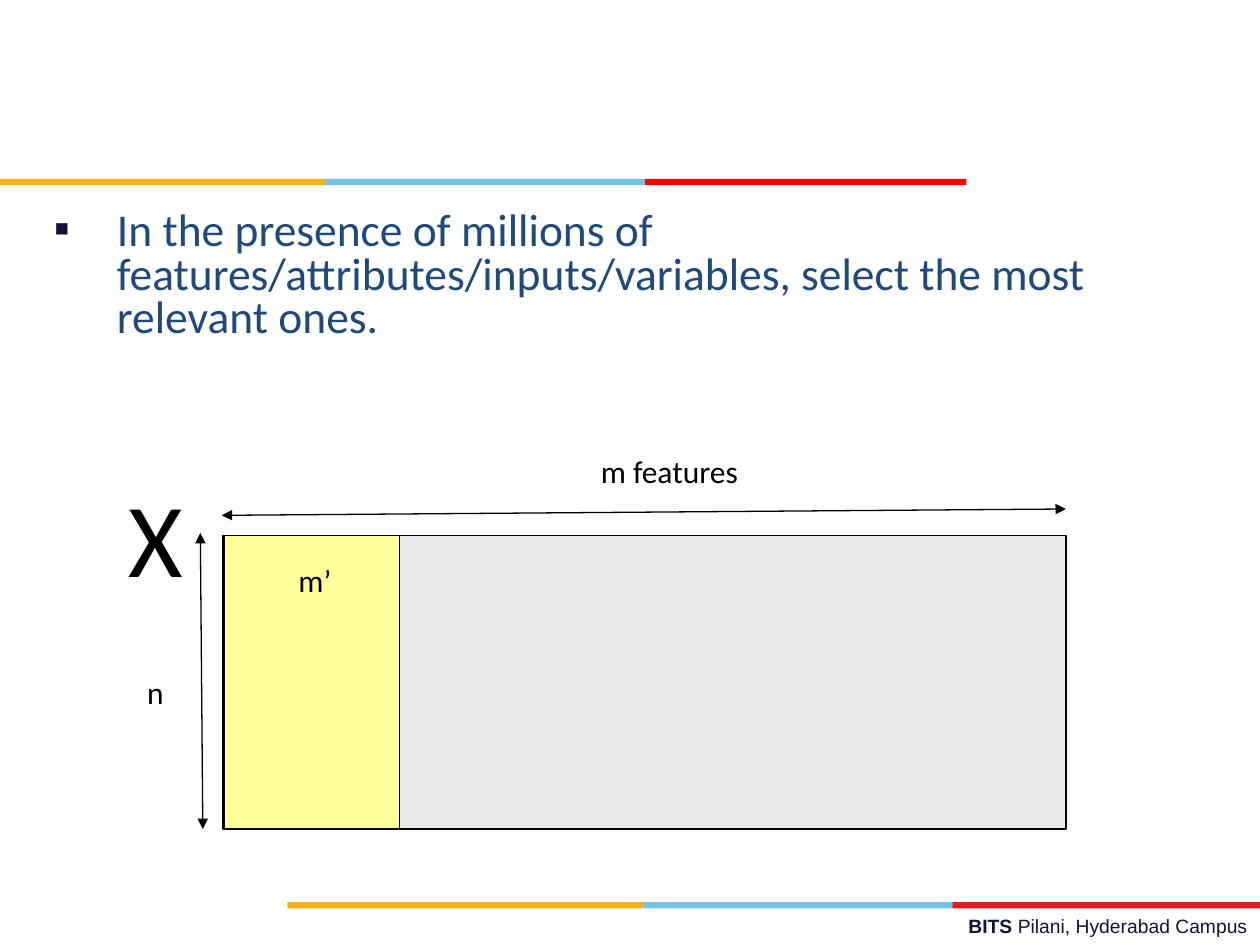
from lxml import etree
from pptx import Presentation
from pptx.dml.color import RGBColor
from pptx.enum.shapes import MSO_CONNECTOR, MSO_SHAPE
from pptx.enum.text import PP_ALIGN
from pptx.oxml.ns import qn
from pptx.util import Pt

RECT, STRAIGHT = MSO_SHAPE.RECTANGLE, MSO_CONNECTOR.STRAIGHT
LEFT, RIGHT = PP_ALIGN.LEFT, PP_ALIGN.RIGHT

THEME = {
    "ink": "000000", "navy": "101141", "blue": "1F497D",
    "gold": "FCB017", "sky": "76C2E5", "red": "FF0000", "crimson": "E31C24",
    "grey": "EAEAEA", "yellow": "FFFF99",
    "body": "Calibri", "brand": "Arial",
    "footer_size": 11, "body_size": 26, "label_size": 18, "symbol_size": 60,
    "line": 0.75, "bar": 3.6,
}

# Content: positions in points
BULLET = ("In the presence of millions of features/attributes/inputs/variables, "
          "select the most relevant ones.")
FOOTER = [("BITS ", True), ("Pilani, Hyderabad Campus", False)]
STRIPES = [  # top, edges, colours
    (102.24, (0, 185.76, 368.64, 552.24), ("gold", "sky", "red")),
    (515.52, (164.16, 367.6, 544.32, 720), ("gold", "sky", "crimson")),
]
MATRIX = [  # all features, then the selected ones
    ((127.44, 306, 481.68, 167.76), "grey"),
    ((128.16, 306, 100.08, 167.76), "yellow"),
]
ARROWS = [  # from, to
    ((114.48, 304.56), (115.92, 473.76)),
    ((126.72, 294.48), (609.12, 290.88)),
]
LABELS = [  # text, box, size, wrap
    ("X", (66.24, 266.4, 59.04, 79.2), "symbol_size", True),
    ("m features", (336.24, 254.88, 93.6, 28.8), "label_size", False),
    ("m’", (163.44, 316.8, 33.84, 28.8), "label_size", False),
    ("n", (77.04, 380.88, 24.48, 28.8), "label_size", False),
]


def color(name):
    return RGBColor.from_string(THEME[name])


def add_rect(s, box, fill, outlined=False):
    sp = s.shapes.add_shape(RECT, *map(Pt, box))
    sp.shadow.inherit = False
    sp.fill.solid()
    sp.fill.fore_color.rgb = color(fill)
    if outlined:
        sp.line.color.rgb = color("ink")
        sp.line.width = Pt(THEME["line"])
    else:
        sp.line.fill.background()


def add_text(s, box, runs, size, ink="ink", font="body", align=LEFT, wrap=True):
    tf = s.shapes.add_textbox(*map(Pt, box)).text_frame
    tf.word_wrap = wrap
    p = tf.paragraphs[0]
    p.alignment = align
    for text, bold in runs:
        r = p.add_run()
        r.text = text
        formats = {"name": THEME[font], "size": Pt(THEME[size]), "bold": bold}
        for key, value in formats.items():
            setattr(r.font, key, value)
        r.font.color.rgb = color(ink)
    return p


def add_bullet(p, char, ink, indent):
    pPr = p._p.get_or_add_pPr()
    pPr.set("marL", str(Pt(indent)))
    pPr.set("indent", str(-Pt(indent)))
    clr = etree.SubElement(pPr, qn("a:buClr"))
    etree.SubElement(clr, qn("a:srgbClr"), val=THEME[ink])
    etree.SubElement(pPr, qn("a:buFont"), typeface=THEME["brand"])
    etree.SubElement(pPr, qn("a:buChar"), char=char)


def add_arrow(s, start, end):
    line = s.shapes.add_connector(STRAIGHT, *map(Pt, start + end))
    line.line.color.rgb = color("ink")
    line.line.width = Pt(THEME["line"])
    for tag in ("a:headEnd", "a:tailEnd"):
        etree.SubElement(line.line._get_or_add_ln(), qn(tag), type="triangle")
    etree.SubElement(line._element.spPr, qn("a:effectLst"))


def main():
    prs = Presentation()
    prs.slide_width, prs.slide_height = Pt(720), Pt(540)
    s = prs.slides.add_slide(prs.slide_layouts[6])

    # Footer and tricolour stripes
    add_text(s, (257.76, 519.12, 462.24, 20.88), FOOTER, "footer_size",
             "navy", "brand", RIGHT)
    for top, edges, fills in STRIPES:
        for left, right, fill in zip(edges, edges[1:], fills):
            add_rect(s, (left, top, right - left, THEME["bar"]), fill)

    # Bullet statement
    p = add_text(s, (23.76, 117.36, 648, 356.4), [(BULLET, False)],
                 "body_size", "blue")
    p.line_spacing = 0.8
    add_bullet(p, "▪", "navy", 36)

    # Data matrix with its dimensions
    for box, fill in MATRIX:
        add_rect(s, box, fill, outlined=True)
    for start, end in ARROWS:
        add_arrow(s, start, end)
    for text, box, size, wrap in LABELS:
        add_text(s, box, [(text, False)], size, wrap=wrap)

    prs.save("out.pptx")


if __name__ == "__main__":
    main()
